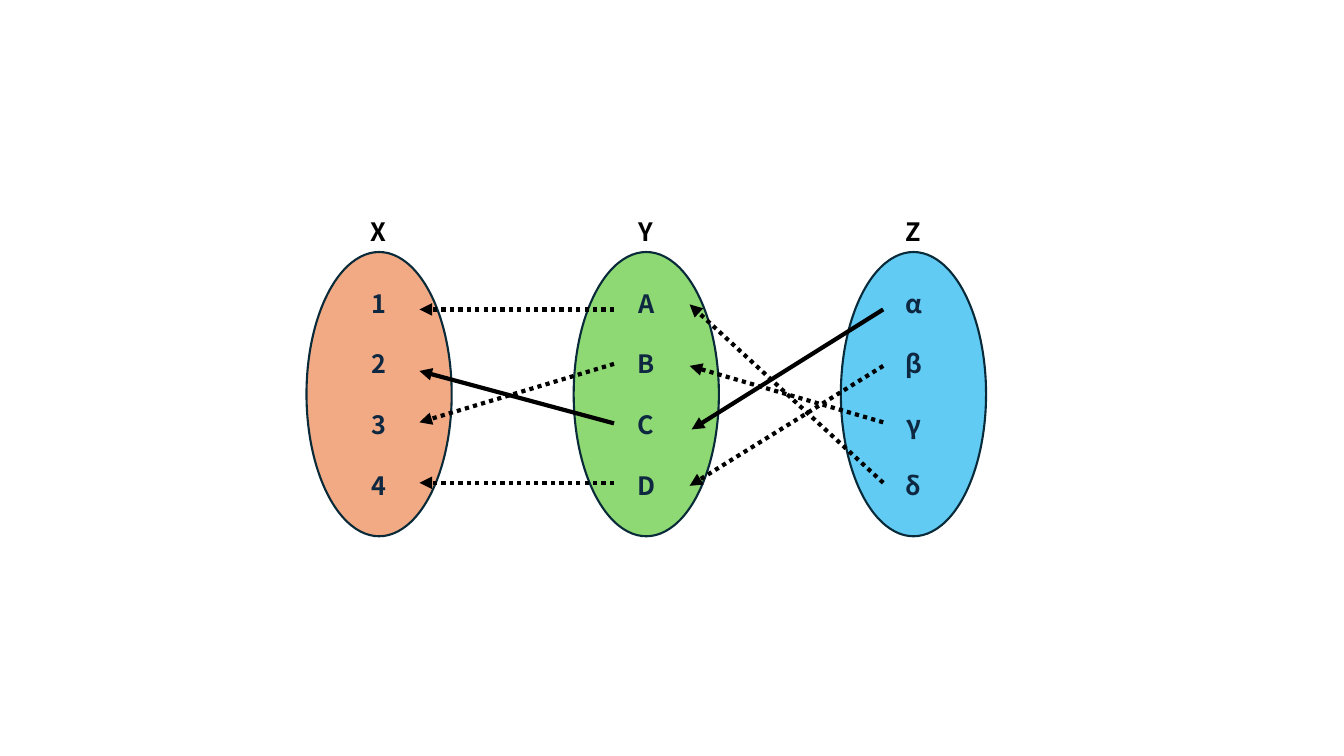
from typing import NamedTuple

from lxml import etree
from pptx import Presentation
from pptx.dml.color import RGBColor
from pptx.enum.dml import MSO_LINE
from pptx.enum.shapes import MSO_CONNECTOR, MSO_SHAPE
from pptx.enum.text import MSO_ANCHOR, MSO_AUTO_SIZE, PP_ALIGN
from pptx.oxml.ns import qn
from pptx.slide import Slide
from pptx.util import Inches, Pt

OVAL = MSO_SHAPE.OVAL
LINE = MSO_CONNECTOR.STRAIGHT
DOTS = MSO_LINE.ROUND_DOT
CENTER = PP_ALIGN.CENTER
MIDDLE = MSO_ANCHOR.MIDDLE
FIT = MSO_AUTO_SIZE.SHAPE_TO_FIT_TEXT

FONT = {"name": "Noto Sans CJK KR", "size": Pt(18), "bold": True}
BLACK, NAVY, EDGE = "000000", "0E2841", "092A39"
LEFT, STEP = 3.04, 2.65
TOP, WIDTH, HEIGHT = 2.5, 1.44, 2.82
ROW_GAP = Pt(21.67)


class Group(NamedTuple):
    name: str
    items: str
    fill: str


class Arrow(NamedTuple):
    x1: float
    y1: float
    x2: float
    y2: float
    dotted: bool = True


GROUPS = [
    Group("X", "1234", "F2AA84"),
    Group("Y", "ABCD", "8ED973"),
    Group("Z", "αβγδ", "61CBF4"),
]
ARROWS = [
    # Y to X
    Arrow(6.09, 3.07, 4.16, 3.07),
    Arrow(6.09, 3.61, 4.16, 4.19),
    Arrow(6.09, 4.2, 4.16, 3.68, dotted=False),
    Arrow(6.09, 4.79, 4.16, 4.79),
    # Z to Y
    Arrow(8.76, 3.07, 6.86, 4.26, dotted=False),
    Arrow(8.76, 3.63, 6.84, 4.82),
    Arrow(8.76, 4.19, 6.84, 3.63),
    Arrow(8.76, 4.79, 6.84, 3.02),
]


def color(code: str) -> RGBColor:
    return RGBColor.from_string(code)


def style(font, code: str) -> None:
    for key, value in FONT.items():
        setattr(font, key, value)
    font.color.rgb = color(code)


def draw_group(slide: Slide, group: Group, left: float) -> None:
    # Oval with one paragraph for each item
    oval = slide.shapes.add_shape(
        OVAL, Inches(left), Inches(TOP), Inches(WIDTH), Inches(HEIGHT))
    oval.shadow.inherit = False
    oval.fill.solid()
    oval.fill.fore_color.rgb = color(group.fill)
    oval.line.color.rgb = color(EDGE)
    oval.line.width = Pt(1.5)
    frame = oval.text_frame
    frame.vertical_anchor = MIDDLE
    for row, item in enumerate(group.items):
        para = frame.add_paragraph() if row else frame.paragraphs[0]
        para.alignment = CENTER
        if row:
            para.space_before = ROW_GAP
        run = para.add_run()
        run.text = item
        style(run.font, NAVY)

    # Name above the oval
    label = slide.shapes.add_textbox(
        Inches(left + 0.54), Inches(TOP - 0.4), Inches(0.37), Inches(0.4))
    label.text_frame.word_wrap = False
    label.text_frame.auto_size = FIT
    run = label.text_frame.paragraphs[0].add_run()
    run.text = group.name
    style(run.font, BLACK)


def draw_arrow(slide: Slide, arrow: Arrow) -> None:
    link = slide.shapes.add_connector(
        LINE, Inches(arrow.x1), Inches(arrow.y1),
        Inches(arrow.x2), Inches(arrow.y2))
    link.line.color.rgb = color(BLACK)
    link.line.width = Pt(3)
    if arrow.dotted:
        link.line.dash_style = DOTS
    props = link.element.spPr
    etree.SubElement(props.find(qn("a:ln")), qn("a:tailEnd"), type="triangle")
    etree.SubElement(props, qn("a:effectLst"))


def main() -> None:
    deck = Presentation()
    deck.slide_width, deck.slide_height = Inches(13.33), Inches(7.5)
    slide = deck.slides.add_slide(deck.slide_layouts[6])
    for index, group in enumerate(GROUPS):
        draw_group(slide, group, LEFT + index * STEP)
    for arrow in ARROWS:
        draw_arrow(slide, arrow)
    deck.save("out.pptx")


if __name__ == "__main__":
    main()
